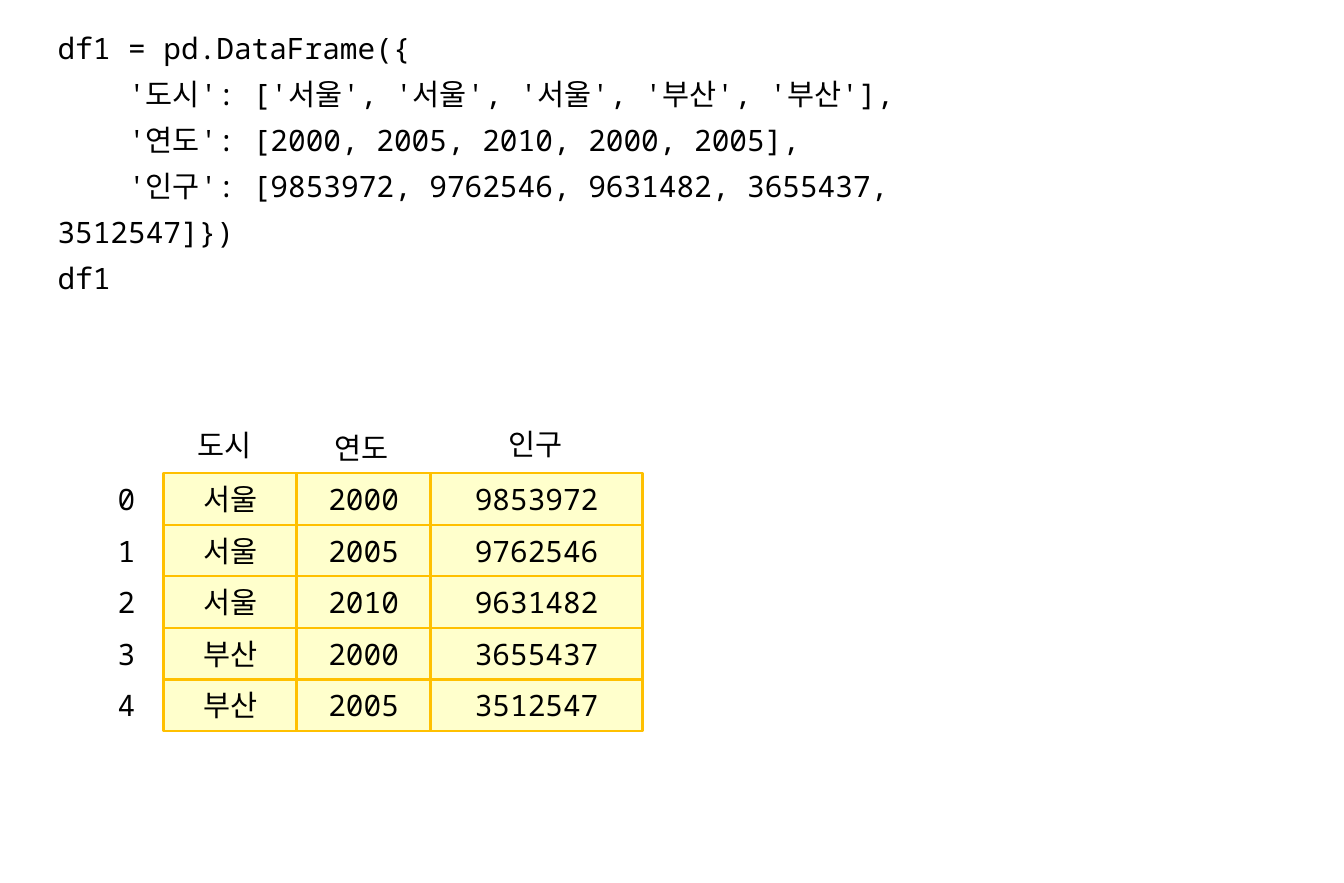
from dataclasses import dataclass

import pptx
import pptx.dml.color
import pptx.enum.shapes
import pptx.enum.text
import pptx.shapes.autoshape
import pptx.slide
import pptx.text.text
import pptx.util

Inches = pptx.util.Inches
BLACK = pptx.dml.color.RGBColor(0x00, 0x00, 0x00)
CELL_FILL = pptx.dml.color.RGBColor(0xFF, 0xFF, 0xCC)
CELL_LINE = pptx.dml.color.RGBColor(0xFF, 0xC0, 0x00)
FONT = "Noto Sans Mono"

GRID_TOP = 4.02
ROW_HEIGHT = 0.44
ROW_PITCH = 0.4375
INDEX_LEFT, INDEX_WIDTH = 0.77, 0.61
CODE_INDENT = 0.6


@dataclass(frozen=True)
class Column:
    name: str
    left: float
    width: float
    header_left: float
    header_top: float
    header_width: float
    values: tuple[str, ...]


@dataclass(frozen=True)
class CodeLine:
    text: str
    indented: bool = False


COLUMNS = (
    Column("도시", 1.39, 1.14, 1.29, 3.56, 1.23,
           ("서울", "서울", "서울", "부산", "부산")),
    Column("연도", 2.52, 1.14, 2.38, 3.58, 1.38,
           ("2000", "2005", "2010", "2000", "2005")),
    Column("인구", 3.66, 1.8, 3.86, 3.55, 1.38,
           ("9853972", "9762546", "9631482", "3655437", "3512547")),
)

CODE = (
    CodeLine("df1 = pd.DataFrame({"),
    CodeLine("'도시': ['서울', '서울', '서울', '부산', '부산'],", True),
    CodeLine("'연도': [2000, 2005, 2010, 2000, 2005],", True),
    CodeLine("'인구': [9853972, 9762546, 9631482, 3655437, 3512547]})", True),
    CodeLine("df1"),
)


def set_font(paragraph: pptx.text.text._Paragraph) -> None:
    paragraph.font.name = FONT
    paragraph.font.size = pptx.util.Pt(18)
    paragraph.font.color.rgb = BLACK


def center_text(shape: pptx.shapes.autoshape.Shape, text: str) -> None:
    frame = shape.text_frame
    frame.word_wrap = True
    frame.vertical_anchor = pptx.enum.text.MSO_ANCHOR.MIDDLE
    paragraph = frame.paragraphs[0]
    paragraph.text = text
    paragraph.alignment = pptx.enum.text.PP_ALIGN.CENTER
    set_font(paragraph)


def add_label(slide: pptx.slide.Slide, text: str,
              left: float, top: float, width: float) -> None:
    label = slide.shapes.add_textbox(
        Inches(left), Inches(top), Inches(width), Inches(ROW_HEIGHT))
    center_text(label, text)


def add_cell(slide: pptx.slide.Slide, text: str,
             left: float, top: float, width: float) -> None:
    cell = slide.shapes.add_shape(
        pptx.enum.shapes.MSO_SHAPE.RECTANGLE,
        Inches(left), Inches(top), Inches(width), Inches(ROW_HEIGHT))
    cell.shadow.inherit = False
    cell.fill.solid()
    cell.fill.fore_color.rgb = CELL_FILL
    cell.line.color.rgb = CELL_LINE
    cell.line.width = pptx.util.Pt(1.5)
    center_text(cell, text)


def add_code(slide: pptx.slide.Slide) -> None:
    box = slide.shapes.add_textbox(
        Inches(0.39), Inches(0.12), Inches(8.32), Inches(2.04))
    frame = box.text_frame
    frame.word_wrap = True
    frame.auto_size = pptx.enum.text.MSO_AUTO_SIZE.SHAPE_TO_FIT_TEXT
    for number, line in enumerate(CODE):
        paragraph = frame.add_paragraph() if number else frame.paragraphs[0]
        paragraph.text = line.text
        paragraph.line_spacing = 1.3
        set_font(paragraph)
        if line.indented:
            properties = paragraph._p.get_or_add_pPr()
            properties.set("marL", "0")
            properties.set("indent", str(Inches(CODE_INDENT)))


def add_data_frame(slide: pptx.slide.Slide) -> None:
    """Draw the row index, the column names and the grid of values."""
    row_tops = [GRID_TOP + row * ROW_PITCH for row in range(len(COLUMNS[0].values))]
    for index, top in enumerate(row_tops):
        add_label(slide, str(index), INDEX_LEFT, top, INDEX_WIDTH)
    for column in COLUMNS:
        add_label(slide, column.name, column.header_left,
                  column.header_top, column.header_width)
        for value, top in zip(column.values, row_tops):
            add_cell(slide, value, column.left, top, column.width)


def main() -> None:
    presentation = pptx.Presentation()
    presentation.slide_width = Inches(11.42)
    presentation.slide_height = Inches(7.5)
    slide = presentation.slides.add_slide(presentation.slide_layouts[6])
    add_code(slide)
    add_data_frame(slide)
    presentation.save("out.pptx")


if __name__ == "__main__":
    main()
